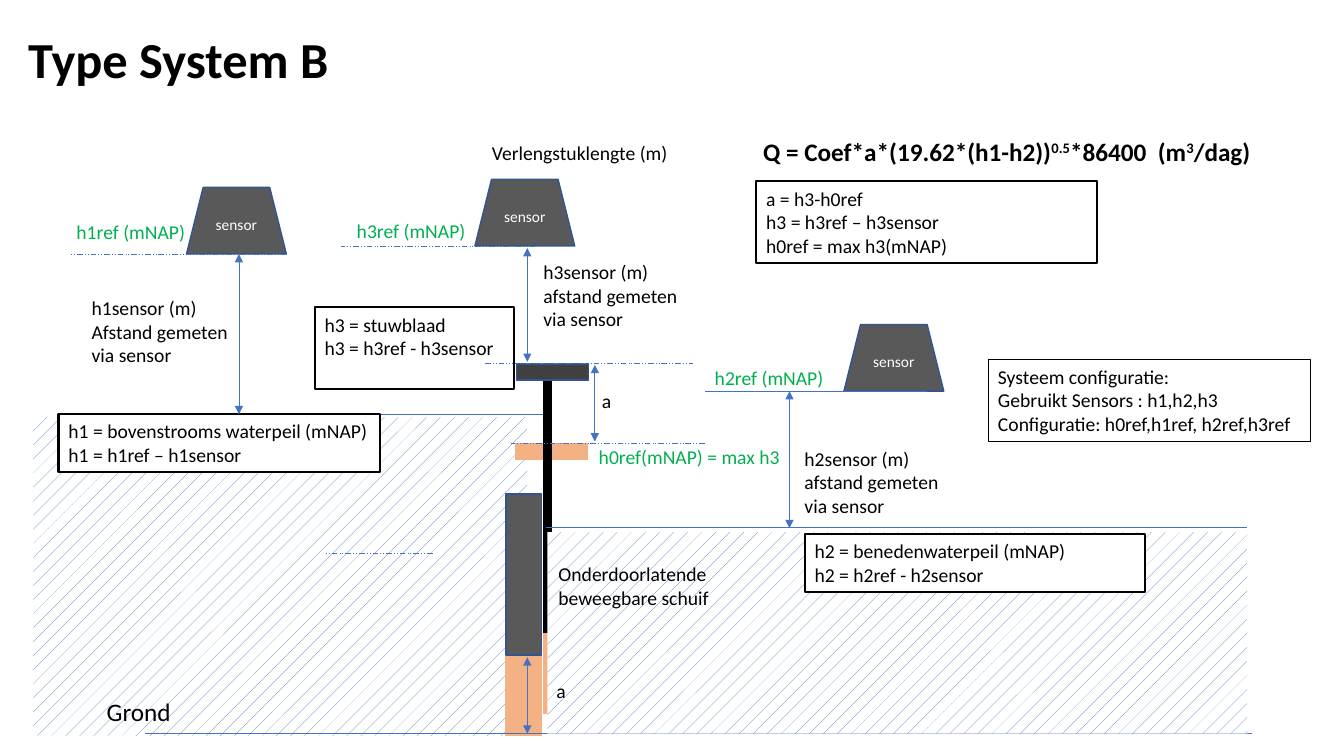
from lxml.etree import SubElement
from pptx import Presentation
from pptx.dml.color import RGBColor
from pptx.enum.dml import MSO_LINE, MSO_PATTERN
from pptx.enum.shapes import MSO_CONNECTOR, MSO_SHAPE
from pptx.enum.text import MSO_ANCHOR, PP_ALIGN
from pptx.oxml.ns import qn
from pptx.util import Inches, Pt

BLUE, OUTLINE, STEEL, ORANGE = "4472C4", "325491", "595959", "F4B183"
GREEN, BLACK, WHITE = "00B050", "000000", "FFFFFF"


def color(value):
    return RGBColor.from_string(value)


def add_span(para, text, size=14, ink=BLACK, bold=False, raised=False):
    span = para.add_run()
    span.text = text
    font = span.font
    font.name, font.size, font.bold = "Calibri", Pt(size), bold
    font.color.rgb = color(ink)
    if raised:
        font._element.set("baseline", "30000")


def write_lines(shape, lines, size=14, ink=BLACK, align=PP_ALIGN.LEFT, anchor=MSO_ANCHOR.TOP):
    frame = shape.text_frame
    frame.word_wrap = True
    frame.vertical_anchor = anchor
    for index, line in enumerate(lines):
        para = frame.add_paragraph() if index else frame.paragraphs[0]
        para.alignment = align
        add_span(para, line, size, ink)


def add_label(page, left, top, width, lines, size=14, ink=BLACK):
    height = 0.1 + len(lines) * size / 60
    label = page.shapes.add_textbox(Inches(left), Inches(top), Inches(width), Inches(height))
    write_lines(label, lines, size, ink)


def add_block(page, left, top, width, height, fill=None, line=None, weight=1,
              kind=MSO_SHAPE.RECTANGLE):
    block = page.shapes.add_shape(kind, Inches(left), Inches(top), Inches(width), Inches(height))
    block.shadow.inherit = False
    if fill:
        block.fill.solid()
        block.fill.fore_color.rgb = color(fill)
    else:
        block.fill.background()
    if line:
        block.line.color.rgb = color(line)
        block.line.width = Pt(weight)
    else:
        block.line.fill.background()
    return block


def add_panel(page, left, top, width, height, lines, fill=WHITE, weight=1.5):
    panel = add_block(page, left, top, width, height, fill, BLACK, weight)
    write_lines(panel, lines)


def add_water(page, left, top, width, height):
    water = add_block(page, left, top, width, height)
    water.fill.patterned()
    water.fill.pattern = MSO_PATTERN.PERCENT_5
    water.fill.fore_color.rgb = color(BLUE)
    water.fill.back_color.rgb = color(WHITE)


def add_line(page, start, end, ink=BLUE, weight=0.5, dashed=False, arrows=False):
    line = page.shapes.add_connector(
        MSO_CONNECTOR.STRAIGHT, *(Inches(value) for value in (*start, *end)))
    line.line.color.rgb = color(ink)
    line.line.width = Pt(weight)
    if dashed:
        line.line.dash_style = MSO_LINE.DASH_DOT_DOT
    properties = line._element.spPr
    if arrows:
        for tag in ("a:headEnd", "a:tailEnd"):
            SubElement(properties.find(qn("a:ln")), qn(tag), type="triangle")
    SubElement(properties, qn("a:effectLst"))


def add_level(page, start, end, y, dashed=True):
    add_line(page, (start, y), (end, y), dashed=dashed)


def add_measure(page, x, top, bottom):
    """Draw a vertical dimension with an arrowhead at each end."""
    add_line(page, (x, top), (x, bottom), arrows=True)


def add_rod(page, x, top, bottom, ink):
    add_line(page, (x, top), (x, bottom), ink, weight=6)


def add_sensor(page, left, top):
    sensor = add_block(page, left, top, 0.99, 0.66, STEEL, OUTLINE, kind=MSO_SHAPE.TRAPEZOID)
    write_lines(sensor, ["sensor"], 11, WHITE, PP_ALIGN.CENTER, MSO_ANCHOR.MIDDLE)


def add_title(page, left, top, width, height):
    title = page.shapes.title
    title.left, title.top = Inches(left), Inches(top)
    title.width, title.height = Inches(width), Inches(height)
    title.text_frame.vertical_anchor = MSO_ANCHOR.MIDDLE
    para = title.text_frame.paragraphs[0]
    para.alignment = PP_ALIGN.LEFT
    para.line_spacing = 0.9
    add_span(para, "Type System B", 36, bold=True)


def draw_upstream(page, left, top):
    add_water(page, left, top + 2.28, 4.9, 3.16)
    add_level(page, left + 1.56, left + 5.06, top + 2.25, dashed=False)
    add_panel(page, left + 0.25, top + 2.25, 3.19, 0.57,
              ["h1 = bovenstrooms waterpeil (mNAP)", "h1 = h1ref – h1sensor"])
    add_label(page, left + 0.63, top + 5, 2.82, ["Grond"], 18)
    add_sensor(page, left + 1.52, top)
    add_measure(page, left + 2.04, top + 0.66, top + 2.25)
    add_label(page, left + 0.33, top + 0.27, 1.98, ["h1ref (mNAP)"], ink=GREEN)
    add_level(page, left + 2.51, left + 0.36, top + 0.66)
    add_level(page, left + 3.96, left + 2.89, top + 3.63)
    add_label(page, left + 0.48, top + 1.03, 1.68,
              ["h1sensor (m)", "Afstand gemeten via sensor"])


def draw_gate(page, left, top):
    """Draw the gate above the ground line, with its lowest position in orange."""
    lowered = page.shapes.add_group_shape()
    add_block(lowered, left, top + 4.35, 0.35, 1.6, ORANGE, ORANGE)
    add_rod(lowered, left + 0.41, top + 3.2, top + 5.73, ORANGE)
    add_block(lowered, left + 0.09, top + 3.05, 0.72, 0.16, ORANGE, ORANGE)
    add_level(page, left - 3.58, left + 7.4, top + 5.93, dashed=False)
    add_rod(page, left + 0.41, top + 2.4, top + 4.93, BLACK)
    add_block(page, left, top + 3.55, 0.35, 1.6, STEEL, OUTLINE)


def draw_downstream(page, left, top):
    add_level(page, left - 0.01, left + 6.94, top + 2.01, dashed=False)
    add_water(page, left, top + 2.06, 6.94, 2)
    add_panel(page, left + 2.55, top + 2.08, 3.38, 0.57,
              ["h2 = benedenwaterpeil (mNAP)", "h2 = h2ref - h2sensor"])
    add_sensor(page, left + 2.94, top)
    add_label(page, left + 1.56, top + 0.36, 1.98, ["h2ref (mNAP)"], ink=GREEN)
    add_level(page, left + 3.76, left + 1.56, top + 0.66, dashed=False)
    add_measure(page, left + 2.4, top + 0.66, top + 2.02)
    add_label(page, left + 2.45, top + 1.16, 1.68,
              ["h2sensor (m)", "afstand gemeten via sensor"])


def draw_gate_readings(page, left, top):
    add_label(page, left - 0.24, top, 2.15, ["Verlengstuklengte (m)"])
    add_sensor(page, left - 0.31, top + 0.43)
    add_label(page, left - 1.58, top + 0.77, 1.77, ["h3ref (mNAP)"], ink=GREEN)
    add_block(page, left + 0.1, top + 2.26, 0.72, 0.16, "404040", OUTLINE)
    for start, end, y in ((0.29, -1.64, 1.09), (-0.21, 1.85, 2.25), (1.97, 0.05, 3.05)):
        add_level(page, left + start, left + end, top + y)
    for x, upper, lower in ((0.21, 1.11, 2.24), (0.88, 2.27, 3.03), (0.21, 5.17, 5.93)):
        add_measure(page, left + x, top + upper, top + lower)
    for x, y in ((0.85, 2.46), (0.4, 5.34)):
        add_label(page, left + x, top + y, 0.48, ["a"])
    add_label(page, left + 0.27, top + 1.18, 1.68,
              ["h3sensor (m)", "afstand gemeten via sensor"])
    add_label(page, left + 0.82, top + 3.01, 2.06, ["h0ref(mNAP) = max h3"], ink=GREEN)
    add_label(page, left + 0.42, top + 4.18, 2.9, ["Onderdoorlatende", "beweegbare schuif"])
    add_panel(page, left - 1.9, top + 1.7, 1.98, 0.81,
              ["h3 = stuwblaad", "h3 = h3ref - h3sensor"], fill=None)


def draw_formula(page, left, top):
    box = page.shapes.add_textbox(Inches(left), Inches(top), Inches(5.18), Inches(0.4))
    box.text_frame.word_wrap = True
    para = box.text_frame.paragraphs[0]
    for text, raised in (("Q = Coef*a*(19.62*(h1-h2))", False), ("0.5", True),
                         ("*86400  (m", False), ("3", True), ("/dag)", False)):
        add_span(para, text, 18, bold=True, raised=raised)
    add_panel(page, left + 0.03, top + 0.5, 3.38, 0.81,
              ["a = h3-h0ref", "h3 = h3ref – h3sensor", "h0ref = max h3(mNAP)"])


def main():
    deck = Presentation()
    deck.slide_width, deck.slide_height = Inches(13.33), Inches(7.5)
    page = deck.slides.add_slide(deck.slide_layouts[5])
    add_title(page, 0.18, 0.18, 12.1, 0.87)
    draw_upstream(page, 0.33, 1.86)
    draw_gate(page, 5.02, 1.35)
    draw_downstream(page, 5.43, 3.22)
    draw_gate_readings(page, 5.02, 1.35)
    draw_formula(page, 7.47, 1.3)
    add_panel(page, 9.8, 3.57, 3.2, 0.81,
              ["Systeem configuratie:", "Gebruikt Sensors : h1,h2,h3",
               "Configuratie: h0ref,h1ref, h2ref,h3ref"], fill=None, weight=0.75)
    deck.save("out.pptx")


if __name__ == "__main__":
    main()
